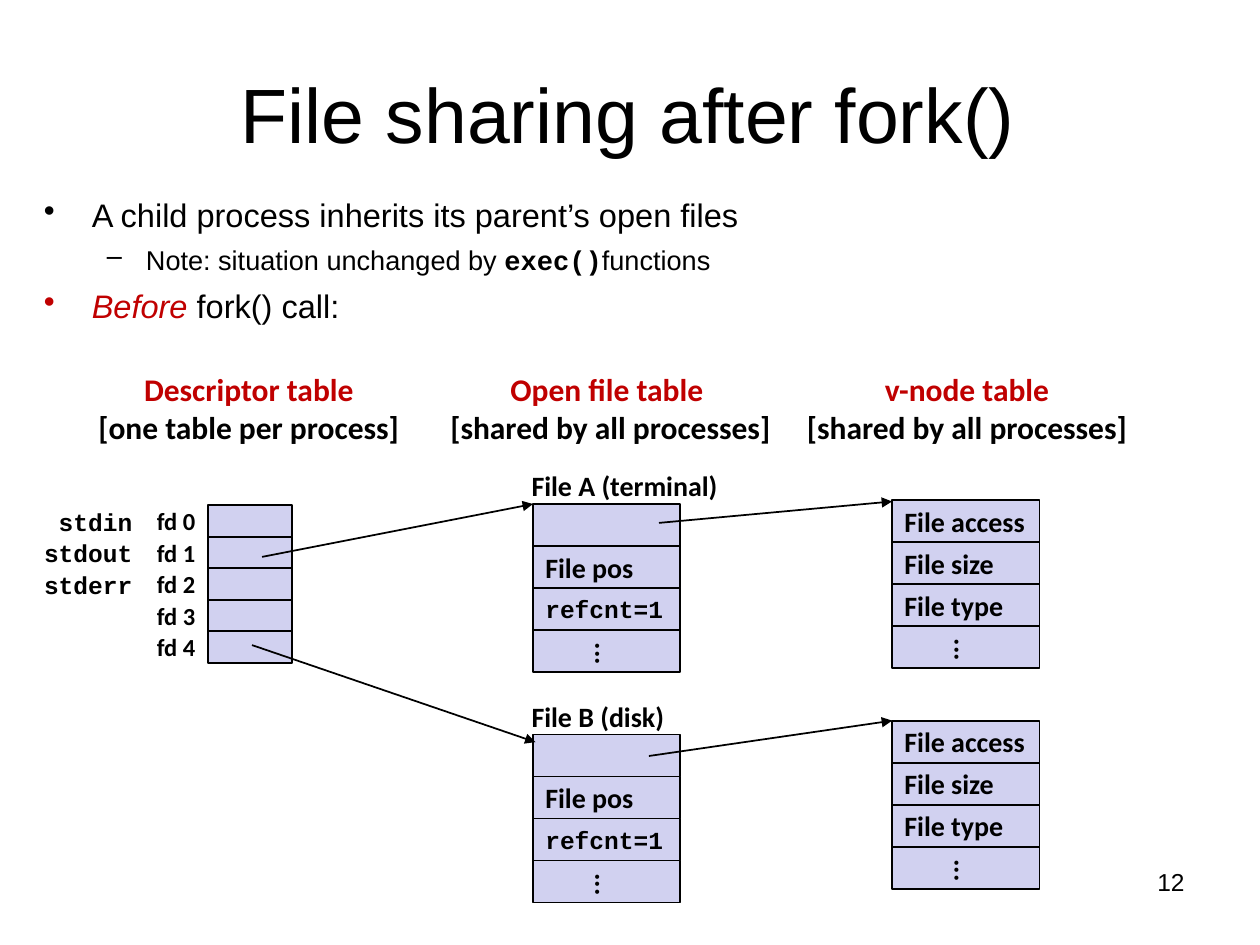
from lxml.etree import SubElement
from pptx import Presentation
from pptx.dml.color import RGBColor
from pptx.enum.shapes import MSO_CONNECTOR, MSO_SHAPE
from pptx.enum.text import MSO_ANCHOR, PP_ALIGN
from pptx.oxml.ns import qn
from pptx.util import Inches, Pt

BLACK = RGBColor(0x00, 0x00, 0x00)
RED = RGBColor(0xC0, 0x00, 0x00)
LILAC = RGBColor(0xD1, 0xD1, 0xF0)
SANS, LABEL, MONO = "Arial", "Calibri", "Courier New"
LEFT, CENTER, RIGHT = PP_ALIGN.LEFT, PP_ALIGN.CENTER, PP_ALIGN.RIGHT


def add_run(p, text, font=LABEL, size=16, color=BLACK, bold=False, italic=False):
    """Append a formatted run to a paragraph."""
    r = p.add_run()
    r.text = text
    r.font.name, r.font.size = font, Pt(size)
    r.font.bold, r.font.italic = bold, italic
    r.font.color.rgb = color


class SlideBuilder:
    """Hold the style and the current slide."""

    def __init__(self, slide):
        self.shapes = slide.shapes
        self.fill, self.ink, self.weight = LILAC, BLACK, Pt(1)

    def text(self, x, y, w, h, lines, align=LEFT, anchor=MSO_ANCHOR.MIDDLE, wrap=False):
        """Add a text box with one (text, format) pair per line."""
        sp = self.shapes.add_textbox(Inches(x), Inches(y), Inches(w), Inches(h))
        tf = sp.text_frame
        tf.word_wrap, tf.vertical_anchor = wrap, anchor
        for i, (text, style) in enumerate(lines):
            p = tf.add_paragraph() if i else tf.paragraphs[0]
            p.alignment = align
            add_run(p, text, **style)

    def bullets(self, x, y, w, h, items):
        """Add a bulleted list of (level, bullet colour, runs) items."""
        tf = self.shapes.add_textbox(Inches(x), Inches(y), Inches(w), Inches(h)).text_frame
        tf.word_wrap = True
        for i, (level, color, runs) in enumerate(items):
            p = tf.add_paragraph() if i else tf.paragraphs[0]
            p.level = level
            margin, hang, char, gap = ((0.38, 0.38, "•", 6), (0.81, 0.31, "–", 5))[level]
            pPr = p._p.get_or_add_pPr()
            pPr.set("marL", str(Inches(margin)))
            pPr.set("indent", str(-Inches(hang)))
            clr = SubElement(pPr, qn("a:buClr"))
            SubElement(clr, qn("a:srgbClr"), val=str(color))
            SubElement(pPr, qn("a:buChar"), char=char)
            if i:
                p.space_before = Pt(gap)
            for text, style in runs:
                add_run(p, text, **style)

    def cell(self, x, y, w, h, text="", **style):
        """Add one table cell, turning an ellipsis vertical."""
        sp = self.shapes.add_shape(MSO_SHAPE.RECTANGLE, Inches(x), Inches(y), Inches(w), Inches(h))
        sp.shadow.inherit = False
        sp.fill.solid()
        sp.fill.fore_color.rgb = self.fill
        sp.line.color.rgb, sp.line.width = self.ink, self.weight
        if not text:
            return
        tf = sp.text_frame
        tf.word_wrap, tf.vertical_anchor = False, MSO_ANCHOR.MIDDLE
        if text == "...":
            tf._txBody.bodyPr.set("vert", "eaVert")
            tf.margin_left = tf.margin_right = Inches(0.05)
            tf.margin_top = tf.margin_bottom = Inches(0.1)
        p = tf.paragraphs[0]
        p.alignment = LEFT
        add_run(p, text, bold=True, **style)

    def column(self, x, y, w, h, rows):
        """Stack cells of equal height, one per (text, format) row."""
        for i, (text, style) in enumerate(rows):
            self.cell(x, y + i * h, w, h, text, **style)

    def arrow(self, x1, y1, x2, y2):
        """Add a straight arrow."""
        c = self.shapes.add_connector(
            MSO_CONNECTOR.STRAIGHT, Inches(x1), Inches(y1), Inches(x2), Inches(y2))
        c.line.color.rgb, c.line.width = self.ink, self.weight
        SubElement(c.line._get_or_add_ln(), qn("a:tailEnd"), type="triangle")
        SubElement(c._element.spPr, qn("a:effectLst"))


def main():
    """Build the slide and save it."""
    prs = Presentation()
    prs.slide_width, prs.slide_height = Inches(10), Inches(7.5)
    s = SlideBuilder(prs.slides.add_slide(prs.slide_layouts[6]))

    s.text(7.17, 6.83, 2.33, 0.52, [("12", dict(font=SANS, size=14))],
           align=RIGHT, anchor=MSO_ANCHOR.TOP, wrap=True)
    s.text(0.39, 0.48, 9.19, 0.83, [("File sharing after fork()", dict(font=SANS, size=44))],
           align=CENTER, wrap=True)

    main_style = dict(font=SANS, size=18.6)
    sub_style = dict(font=SANS, size=15.5)
    s.bullets(0.25, 1.5, 9.58, 1.17, [
        (0, BLACK, [("A child process inherits its parent’s open files", main_style)]),
        (1, BLACK, [("Note: situation unchanged by ", sub_style),
                    ("exec()", dict(font=MONO, size=15.5, bold=True)),
                    ("functions", sub_style)]),
        (0, RED, [("Before", dict(main_style, color=RED, italic=True)),
                  (" fork() call:", main_style)]),
    ])

    heading = dict(size=18, bold=True)
    for x, w, title, scope in (
        (0.68, 2.59, "Descriptor table", "[one table per process]"),
        (3.47, 2.75, "Open file table ", "[shared by all processes]"),
        (6.3, 2.75, "v-node table", "[shared by all processes]"),
    ):
        s.text(x, 2.89, w, 0.7, [(title, dict(heading, color=RED)), (scope, heading)],
               align=CENTER)

    fd_top, fd_height = 4.01, 0.25
    s.column(1.65, fd_top, 0.67, fd_height, [("", {})] * 5)
    for i in range(5):
        s.text(0.98, fd_top + i * fd_height, 0.67, fd_height,
               [(f"fd {i}", dict(size=14, bold=True))], align=RIGHT)
    for i, stream in enumerate(("stdin", "stdout", "stderr")):
        s.text(0.25, 3.97 + i * fd_height, 0.9, 0.34,
               [(stream, dict(font=MONO, size=14, bold=True))], align=RIGHT)

    width, height = 1.17, 1 / 3
    open_file = [("", {}), ("File pos", {}), ("refcnt=1", dict(font=MONO, size=14)), ("...", {})]
    v_node = [(text, {}) for text in ("File access", "File size", "File type", "...")]
    for name, name_width, open_top, node_top in (
        ("File A (terminal)", 1.68, 4, 3.97),
        ("File B (disk)", 1.25, 5.83, 5.72),
    ):
        s.text(4.12, open_top - 0.33, name_width, 0.37, [(name, dict(bold=True))])
        s.column(4.23, open_top, width, height, open_file)
        s.column(7.08, node_top, width, height, v_node)

    for ends in ((2.08, 4.42, 4.23, 4), (2, 5.12, 4.25, 5.89),
                 (5.23, 4.15, 7.08, 3.98), (5.15, 6, 7.08, 5.72)):
        s.arrow(*ends)

    prs.save("out.pptx")


if __name__ == "__main__":
    main()
